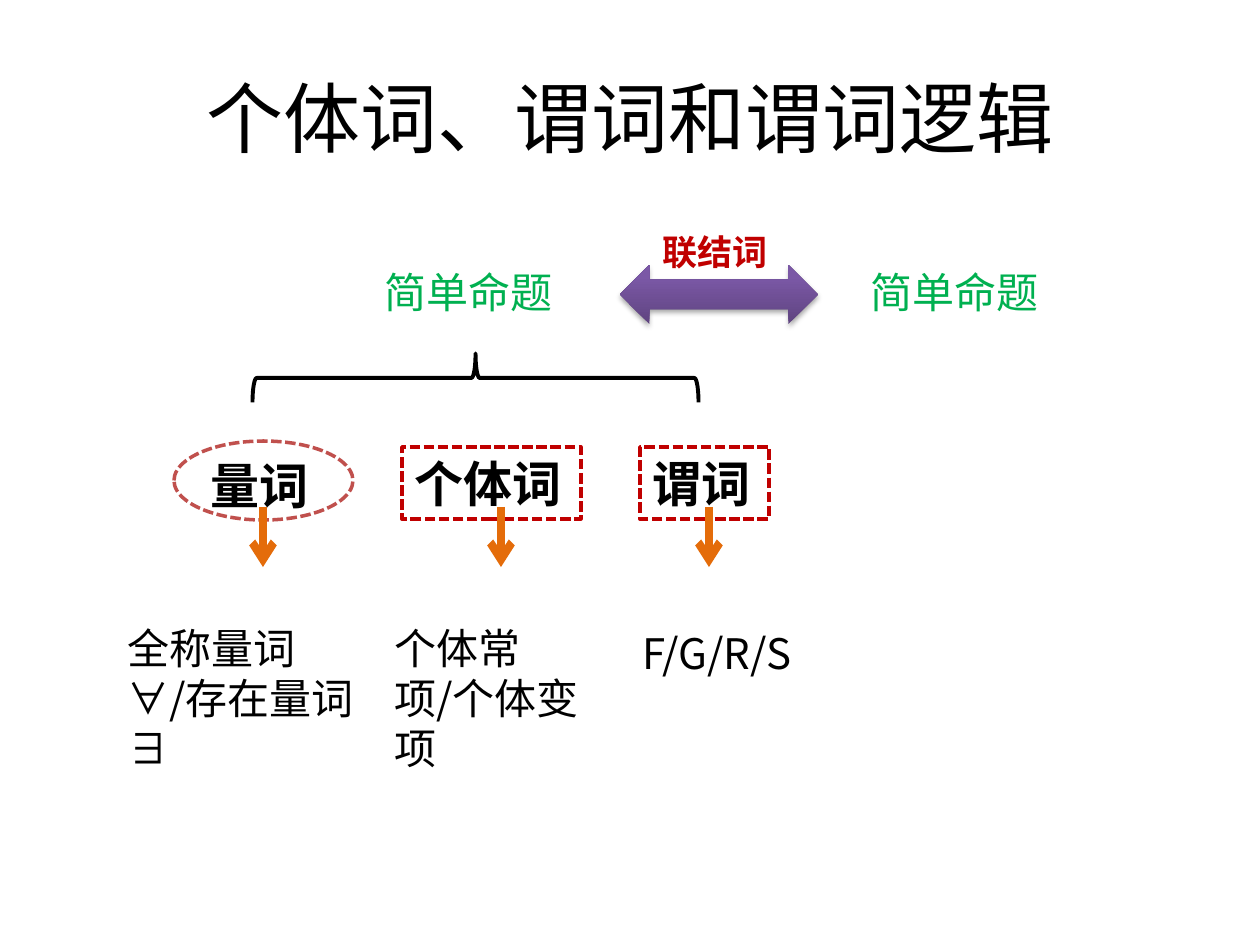
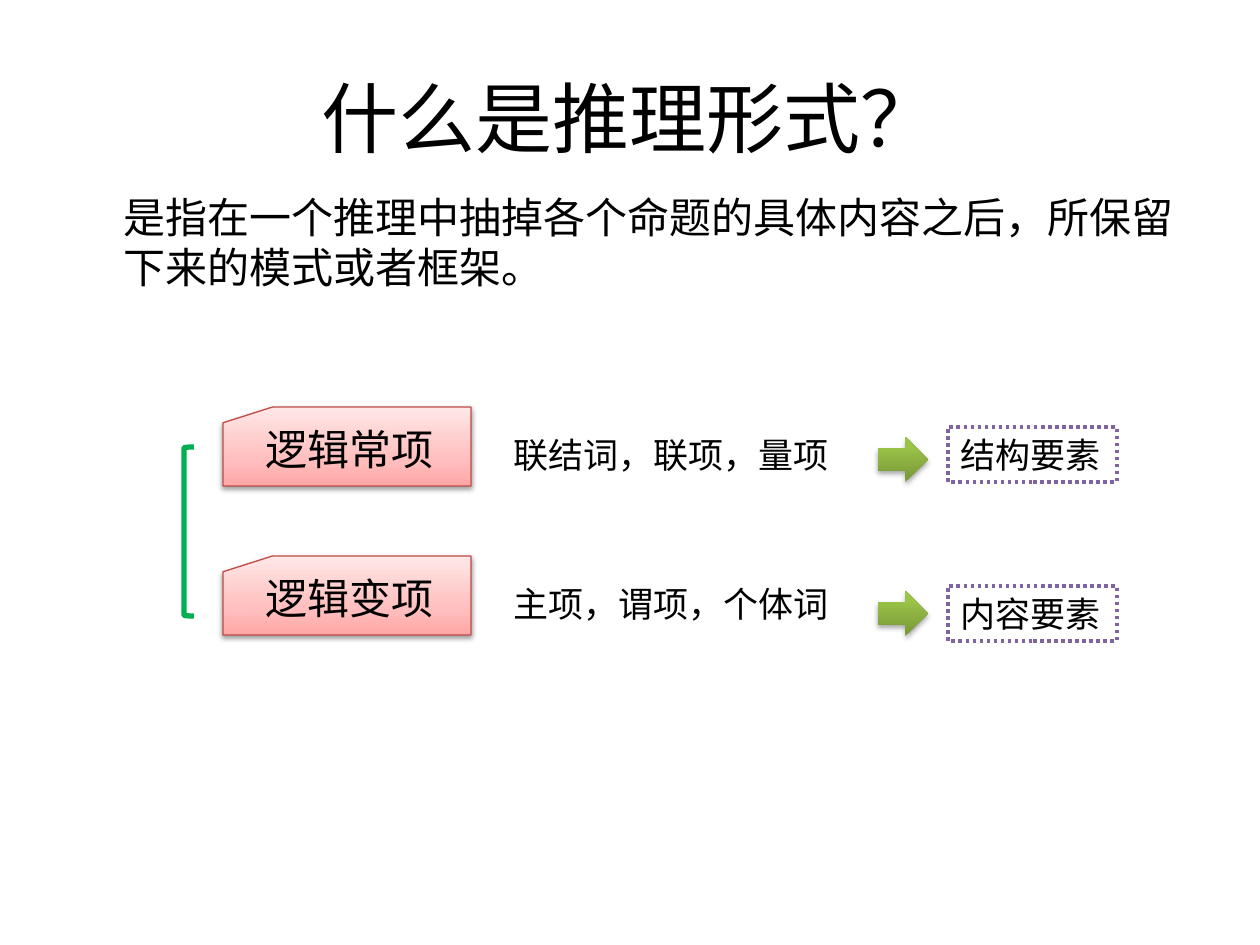
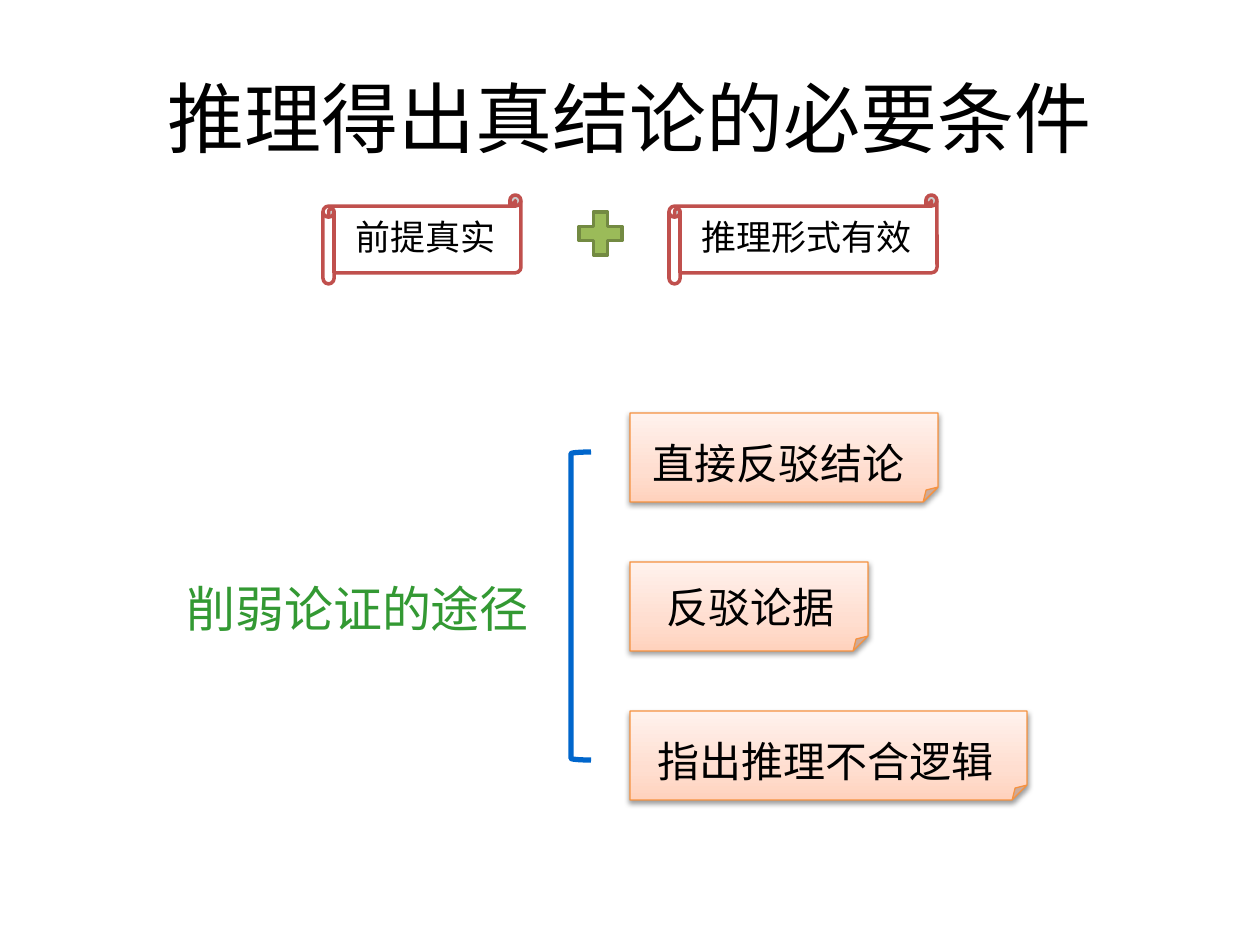
from lxml import etree
from pptx import Presentation
from pptx.dml.color import RGBColor
from pptx.enum.dml import MSO_LINE
from pptx.enum.shapes import MSO_CONNECTOR, MSO_SHAPE
from pptx.enum.text import MSO_ANCHOR, MSO_AUTO_SIZE, PP_ALIGN
from pptx.oxml import parse_xml
from pptx.oxml.ns import nsdecls, qn
from pptx.util import Emu, Pt

RECTANGLE, OVAL = MSO_SHAPE.RECTANGLE, MSO_SHAPE.OVAL
BRACE, BRACKET = MSO_SHAPE.LEFT_BRACE, MSO_SHAPE.LEFT_BRACKET
DOUBLE_ARROW, RIGHT_ARROW = MSO_SHAPE.LEFT_RIGHT_ARROW, MSO_SHAPE.RIGHT_ARROW
CARD, NOTE = MSO_SHAPE.FLOWCHART_CARD, MSO_SHAPE.FOLDED_CORNER
SCROLL, PLUS = MSO_SHAPE.HORIZONTAL_SCROLL, MSO_SHAPE.MATH_PLUS
STRAIGHT = MSO_CONNECTOR.STRAIGHT
DASH, DOTS = MSO_LINE.SQUARE_DOT, MSO_LINE.ROUND_DOT
CENTER, LEFT = PP_ALIGN.CENTER, PP_ALIGN.LEFT
TOP, MIDDLE = MSO_ANCHOR.TOP, MSO_ANCHOR.MIDDLE
GROW = MSO_AUTO_SIZE.SHAPE_TO_FIT_TEXT

JP, SC = "Noto Sans CJK JP", "Noto Sans CJK SC"
BLACK, WHITE, RED, BRICK = "000000", "FFFFFF", "C00000", "C0504D"
GREEN, ORANGE, PURPLE = "00B050", "E46C0A", "8064A2"
PURPLE_FADE = [(0, "5F4480"), (80, "7B58A6"), (100, "7C57A8")]
GREEN_FADE = [(0, "779737"), (80, "9BC348"), (100, "9DC746")]
PINK_FADE = [(0, "FFA6A5"), (35, "FFC0BF"), (100, "FFE7E7")]
PEACH_FADE = [(0, "FFD2BD"), (35, "FFDED0"), (100, "FFF2ED")]
STRONG_SHADOW, SOFT_SHADOW = (35, 1.8), (38, 1.6)

PROPOSITIONS = [("简单命题", 372), ("简单命题", 858)]
TERM_BOXES = [("个体词", 402, 179), ("谓词", 640, 129)]
TERM_DETAILS = [
    ("全称量词∀/存在量词∃", (115, 616, 258, 115)),
    ("个体常项/个体变项", (382, 616, 228, 115)),
    ("F/G/R/S", (630, 621, 179, 63)),
]
TERM_ARROWS = [263, 501, 709]

DEFINITION = "是指在一个推理中抽掉各个命题的具体内容之后，所保留下来的模式或者框架。"
LOGIC_ROWS = [
    ("逻辑常项", "联结词，联项，量项", "结构要素", 437, 427),
    ("逻辑变项", "主项，谓项，个体词", "内容要素", 591, 586),
]

CONDITIONS = [("前提真实", 323, 198, 179), ("推理形式有效", 669, 268, 238)]
REBUTTALS = [
    ("直接反驳结论", 308, (10, 18, 281)),
    ("反驳论据", 238, (24, 13, 194)),
    ("指出推理不合逻辑", 397, (15, 18, 363)),
]
ROW_STEP = 149


def px(length):
    return Emu(round(length * 914400 / 126))


def color(value):
    return RGBColor.from_string(value)


def write(shape, text, size, font=JP, ink=BLACK, bold=False, align=LEFT):
    shape.text_frame.text = text
    paragraph = shape.text_frame.paragraphs[0]
    paragraph.alignment = align
    for run in paragraph.runs:
        run.font.name = font
        run.font.size = Pt(size)
        run.font.bold = bold
        run.font.color.rgb = color(ink)
        east_asian = etree.SubElement(run.font._element, qn("a:ea"))
        east_asian.set("typeface", font)
    return paragraph


def add_text(parent, box, text, size, font=JP, ink=BLACK, bold=False, grow=True):
    shape = parent.shapes.add_textbox(*map(px, box))
    shape.text_frame.word_wrap = True
    if grow:
        shape.text_frame.auto_size = GROW
    return write(shape, text, size, font, ink, bold)


def fill_gradient(shape, stops):
    stop_xml = "".join(
        f'<a:gs pos="{position * 1000}"><a:srgbClr val="{value}"/></a:gs>'
        for position, value in stops
    )
    shape._element.spPr.insert(2, parse_xml(
        f'<a:gradFill {nsdecls("a")} rotWithShape="1"><a:gsLst>{stop_xml}</a:gsLst>'
        '<a:lin ang="16200000" scaled="0"/></a:gradFill>'
    ))


def add_shadow(shape, opacity, distance):
    shape._element.spPr.find(qn("a:effectLst")).append(parse_xml(
        f'<a:outerShdw {nsdecls("a")} blurRad="{Pt(3.1)}" dist="{Pt(distance)}" '
        'dir="5400000" rotWithShape="0"><a:srgbClr val="000000">'
        f'<a:alpha val="{opacity * 1000}"/></a:srgbClr></a:outerShdw>'
    ))


def add_shape(parent, kind, box, fill=None, line=None, width=2, dash=None, shadow=None):
    shape = parent.shapes.add_shape(kind, *map(px, box))
    shape.shadow.inherit = False
    if isinstance(fill, list):
        fill_gradient(shape, fill)
    elif fill:
        shape.fill.solid()
        shape.fill.fore_color.rgb = color(fill)
    else:
        shape.fill.background()
    if line:
        shape.line.color.rgb = color(line)
        shape.line.width = Pt(width)
        if dash:
            shape.line.dash_style = dash
    else:
        shape.line.fill.background()
    if shadow:
        add_shadow(shape, *shadow)
    return shape


def add_label_box(parent, box, text, size, font, bold, fill, line, dash):
    shape = add_shape(parent, RECTANGLE, box, fill, line, dash=dash)
    write(shape, text, size, font, bold=bold)
    shape.text_frame.vertical_anchor = TOP
    shape.text_frame.word_wrap = True
    shape.text_frame.auto_size = GROW


def add_down_arrow(slide, x, top, bottom):
    arrow = slide.shapes.add_connector(STRAIGHT, px(x), px(top), px(x), px(bottom))
    arrow.line.color.rgb = color(ORANGE)
    arrow.line.width = Pt(4.5)
    etree.SubElement(arrow.line._get_or_add_ln(), qn("a:tailEnd")).set("type", "arrow")
    etree.SubElement(arrow._element.spPr, qn("a:effectLst"))


def add_slide(presentation, title):
    slide = presentation.slides.add_slide(presentation.slide_layouts[5])
    shape = slide.shapes.title
    shape.left, shape.top, shape.width, shape.height = map(px, (63, 38, 1134, 157))
    shape.text_frame.vertical_anchor = MIDDLE
    write(shape, title, 44, align=CENTER)
    return slide


def build_terms(presentation):
    slide = add_slide(presentation, "个体词、谓词和谓词逻辑")
    for text, left, width in TERM_BOXES:
        add_label_box(slide, (left, 447, width, 72), text, 28, SC, True, None, RED, DASH)
    quantifier = slide.shapes.add_group_shape()
    add_shape(quantifier, OVAL, (174, 441, 179, 79), WHITE, BRICK, dash=DASH)
    add_text(quantifier, (198, 449, 159, 72), "量词", 28, SC, bold=True)
    for text, box in TERM_DETAILS:
        add_text(slide, box, text, 24)
    brace = add_shape(slide, BRACE, (451, 155, 49, 446), line=BLACK, width=2.25)
    brace.rotation = 90
    for text, left in PROPOSITIONS:
        add_text(slide, (left, 260, 218, 63), text, 24, ink=GREEN)
    add_shape(slide, DOUBLE_ARROW, (620, 265, 198, 59), PURPLE_FADE, shadow=STRONG_SHADOW)
    add_text(slide, (650, 224, 159, 55), "联结词", 20, ink=RED, bold=True)
    for x in TERM_ARROWS:
        add_down_arrow(slide, x, 507, 567)


def build_inference_form(presentation):
    slide = add_slide(presentation, "什么是推理形式？")
    definition = add_text(slide, (63, 185, 1134, 163), DEFINITION, 24, SC, grow=False)
    definition._p.get_or_add_pPr().set("marL", str(px(48)))
    add_shape(slide, BRACKET, (184, 447, 10, 169), line=GREEN, width=3)
    for row, (term, members, element, arrow_top, element_top) in enumerate(LOGIC_ROWS):
        top = 407 + row * ROW_STEP
        add_shape(slide, CARD, (223, top, 248, 79), PINK_FADE, "BF4C48", 0.75,
                  shadow=SOFT_SHADOW)
        add_text(slide, (253, top + 10, 238, 63), term, 24, SC)
        add_text(slide, (501, top + 20, 407, 55), members, 20)
        add_shape(slide, RIGHT_ARROW, (878, arrow_top, 50, 45), GREEN_FADE,
                  shadow=STRONG_SHADOW)
        add_label_box(slide, (948, element_top, 169, 55), element, 20, JP, False,
                      WHITE, PURPLE, DOTS)


def build_conditions(presentation):
    slide = add_slide(presentation, "推理得出真结论的必要条件")
    for text, left, width, text_width in CONDITIONS:
        add_shape(slide, SCROLL, (left, 195, width, 89), WHITE, BRICK)
        add_text(slide, (left + 20, 209, text_width, 55), text, 20)
    add_shape(slide, PLUS, (571, 204, 59, 59), "9BBB59", "738A42")
    for row, (text, width, (inset, drop, text_width)) in enumerate(REBUTTALS):
        top = 413 + row * ROW_STEP
        note = slide.shapes.add_group_shape()
        add_shape(note, NOTE, (630, top, width, 89), PEACH_FADE, "F69240", 0.75,
                  shadow=SOFT_SHADOW)
        add_text(note, (630 + inset, top + drop, text_width, 57), text, 24, SC)
    add_shape(slide, BRACKET, (571, 452, 20, 308), line="0066CC", width=3)
    add_text(slide, (174, 572, 377, 72), "削弱论证的途径", 28, ink="339933")


def main():
    presentation = Presentation()
    presentation.slide_width, presentation.slide_height = px(1260), px(945)
    build_terms(presentation)
    build_inference_form(presentation)
    build_conditions(presentation)
    presentation.save("out.pptx")


if __name__ == "__main__":
    main()
